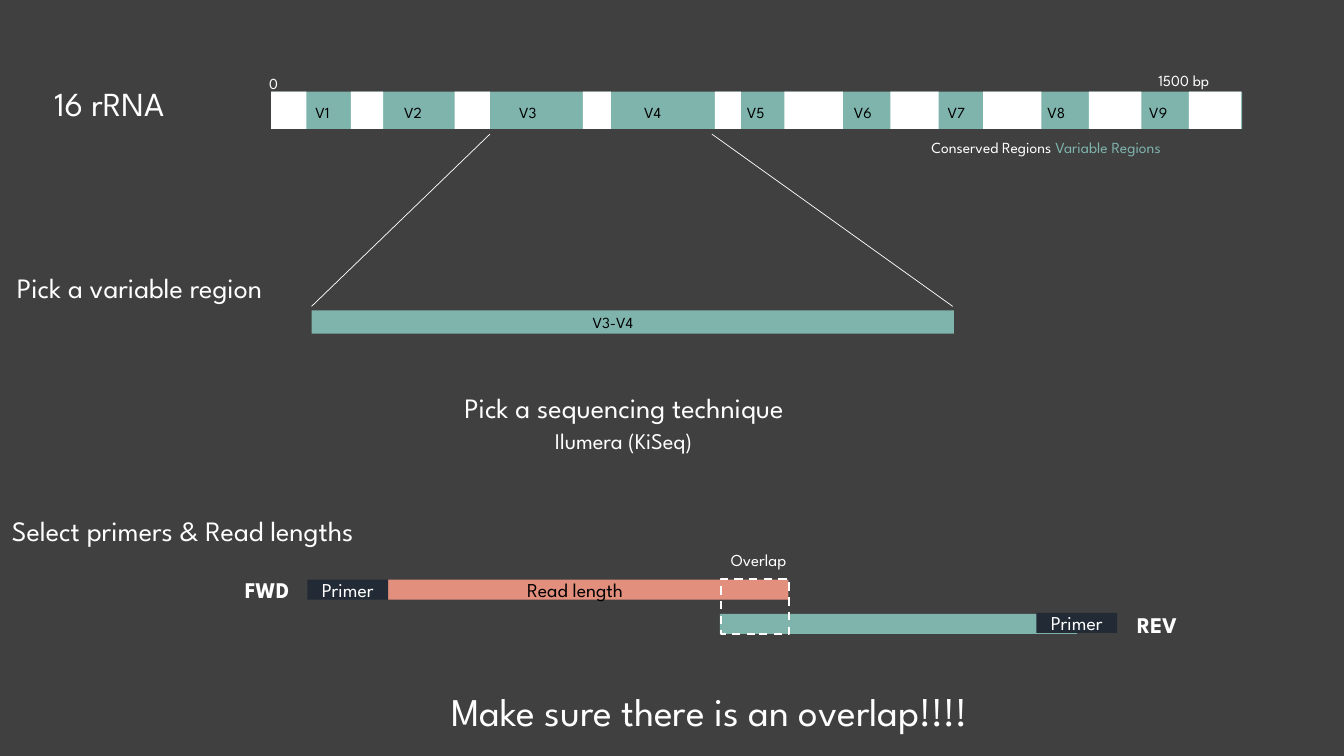
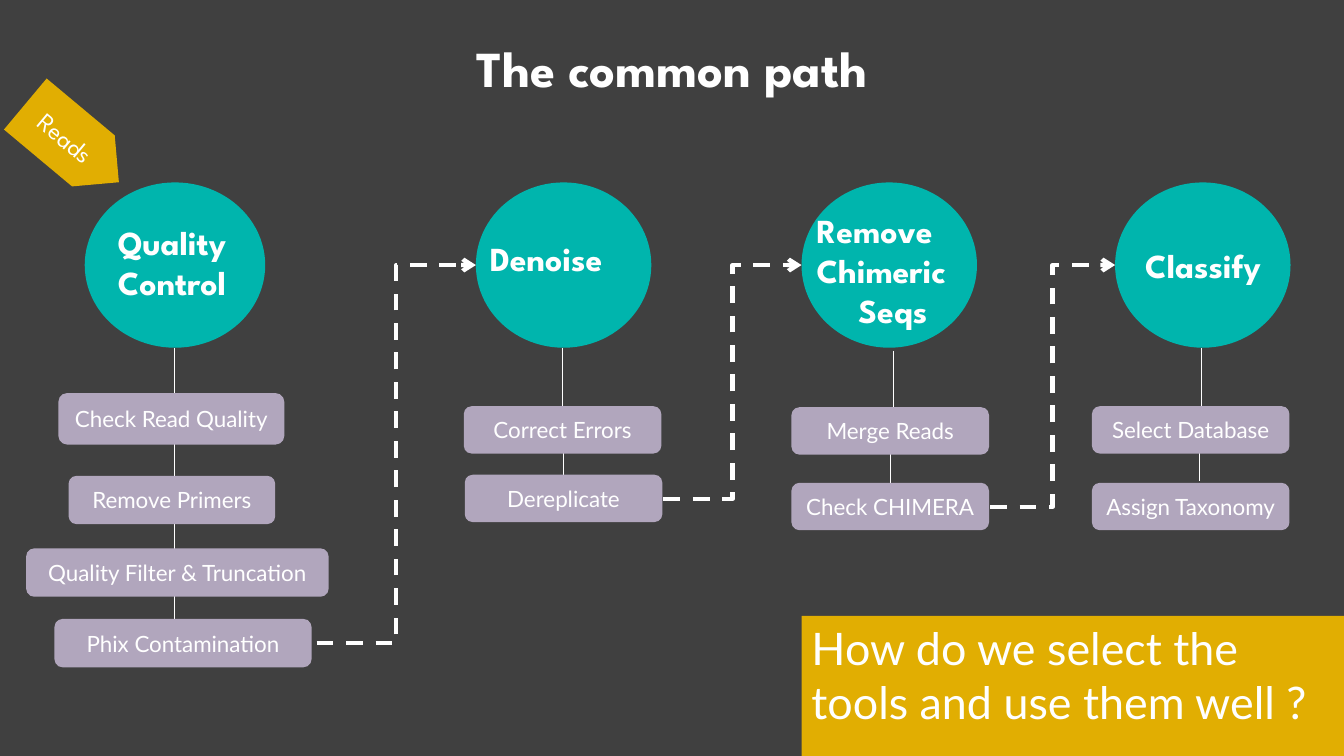
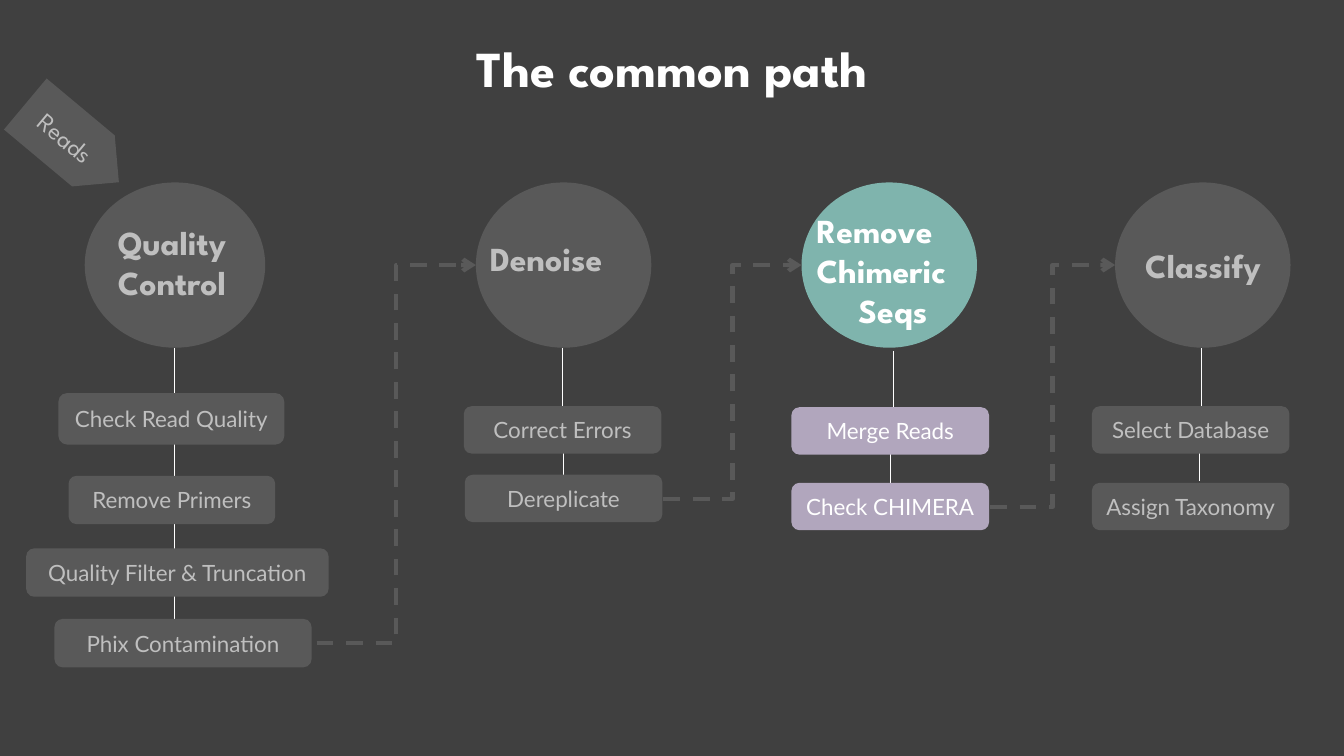
"""Build three slides on 16 rRNA reads and the common path."""
from lxml import etree
from pptx import Presentation
from pptx.dml.color import RGBColor
from pptx.enum.dml import MSO_LINE
from pptx.enum.shapes import MSO_CONNECTOR, MSO_SHAPE
from pptx.enum.text import MSO_ANCHOR, MSO_AUTO_SIZE, PP_ALIGN
from pptx.oxml.ns import qn
from pptx.util import Pt

RECT, ROUND = MSO_SHAPE.RECTANGLE, MSO_SHAPE.ROUNDED_RECTANGLE
OVAL, PLATE = MSO_SHAPE.OVAL, MSO_SHAPE.PENTAGON
LINE, ELBOW = MSO_CONNECTOR.STRAIGHT, MSO_CONNECTOR.ELBOW
LEFT, MID = PP_ALIGN.LEFT, PP_ALIGN.CENTER
TOP, CORE = MSO_ANCHOR.TOP, MSO_ANCHOR.MIDDLE
DASH, FIXED = MSO_LINE.DASH, MSO_AUTO_SIZE.NONE
PX = 9144
SPARTAN, LATO = "League Spartan", "Lato"
WHITE, BLACK, DARK, NAVY = "FFFFFF", "000000", "404040", "222A35"
SAGE, TEAL, CORAL = "7FB4AD", "00B5AD", "E28F7D"
MAUVE, GOLD, DIM, PALE = "B1A6BD", "E1AE02", "595959", "BFBFBF"
hue = RGBColor.from_string


def draw(page, kind, box, fill=None, text="", size=11, tone=WHITE,
         font=SPARTAN, bold=False, align=LEFT, anchor=TOP):
    """Place a title, text box or preset shape, and write its text."""
    place = [v * PX for v in box]
    if kind == "title":
        item = page.shapes.title
        for key, val in zip(("left", "top", "width", "height"), place):
            setattr(item, key, val)
    elif kind == "text":
        item = page.shapes.add_textbox(*place)
    else:
        item = page.shapes.add_shape(kind, *place)
        item.shadow.inherit = False
        item.line.fill.background()
        if fill:
            item.fill.solid()
            item.fill.fore_color.rgb = hue(fill)
        else:
            item.fill.background()
    if text:
        frame = item.text_frame
        look = {"word_wrap": True, "auto_size": FIXED, "vertical_anchor": anchor}
        for key, val in look.items():
            setattr(frame, key, val)
        for i, words in enumerate(text.split("\n")):
            para = frame.add_paragraph() if i else frame.paragraphs[0]
            para.alignment = align
            run = para.add_run()
            run.text = words
            run.font.color.rgb = hue(tone)
            for key, val in {"name": font, "size": Pt(size), "bold": bold}.items():
                setattr(run.font, key, val)
    return item


def link(page, kind, ends, tone=WHITE, width=0.5):
    """Join two points with a plain line."""
    item = page.shapes.add_connector(kind, *[int(v * PX) for v in ends])
    etree.SubElement(item._element.spPr, qn("a:effectLst"))
    item.line.color.rgb = hue(tone)
    item.line.width = Pt(width)
    return item


deck = Presentation()
deck.slide_width, deck.slide_height = 1333 * PX, 750 * PX
back = deck.slide_master.background.fill
back.solid()
back.fore_color.rgb = hue(DARK)
plain = deck.slide_layouts[5]

page = deck.slides.add_slide(plain)
draw(page, "title", (44, 77, 147, 50), text="16 rRNA", size=24)
draw(page, RECT, (269, 91, 963, 37), SAGE)
gaps = [(269, 35), (348, 32), (451, 35), (578, 28), (709, 26),
        (778, 58), (883, 48), (975, 58), (1080, 52), (1179, 52)]
for left, width in gaps:
    draw(page, RECT, (left, 91, width, 37), WHITE)
marks = [303, 391, 505, 629, 731, 837, 930, 1029, 1130]
for num, left in enumerate(marks, 1):
    draw(page, "text", (left, 97, 40, 29), text=f"V{num}", tone=BLACK)
key = draw(page, "text", (914, 132, 295, 29), text="Conserved Regions ")
part = key.text_frame.paragraphs[0].add_run()
part.text = "Variable Regions"
part.font.color.rgb = hue(SAGE)
for name, val in {"name": SPARTAN, "size": Pt(11)}.items():
    setattr(part.font, name, val)
draw(page, RECT, (309, 308, 637, 23), SAGE)
for ends in ((486, 133, 309, 304), (706, 133, 945, 304)):
    link(page, LINE, ends)
draw(page, RECT, (385, 575, 397, 20), CORAL)
draw(page, RECT, (714, 609, 354, 20), SAGE)
for left, top in ((305, 575), (1028, 608)):
    draw(page, RECT, (left, top, 80, 20), NAVY, "Primer", 14, align=MID, anchor=CORE)
frame = draw(page, RECT, (715, 574, 68, 55))
frame.line.color.rgb = hue(WHITE)
frame.line.width = Pt(1.5)
frame.line.dash_style = DASH
notes = [
    ((257, 69, 40, 29), "0", 11, {}),
    ((1139, 66, 84, 29), "1500 bp", 11, {}),
    ((578, 306, 64, 29), "V3-V4", 11, {"tone": BLACK}),
    ((7, 263, 315, 44), "Pick a variable region", 20, {}),
    ((410, 382, 418, 44), "Pick a sequencing technique", 20, {"align": MID}),
    ((523, 419, 191, 37), "Ilumera (KiSeq)", 16, {"align": MID}),
    ((2, 505, 424, 44), "Select primers & Read lengths", 20, {}),
    ((715, 540, 111, 30), "Overlap", 12, {}),
    ((513, 568, 157, 34), "Read length", 14, {"tone": BLACK}),
    ((233, 567, 83, 37), "FWD", 16, {"bold": True}),
    ((1118, 601, 83, 37), "REV", 16, {"bold": True}),
    ((438, 677, 626, 57), "Make sure there is an overlap!!!!", 28, {}),
]
for box, text, size, look in notes:
    draw(page, "text", box, text=text, size=size, **look)

stems = [(173, 345, 173, 614), (1192, 345, 1190, 477),
         (558, 345, 559, 471), (886, 348, 883, 479)]
paths = [(314, 638, 472, 263), (658, 495, 795, 263), (982, 503, 1106, 263)]
stages = [
    ((84, 181, 179, 164), (107, 215, 139, 91), "Quality\nControl",
     [("Check Read Quality", (58, 390, 224, 51)),
      ("Remove Primers", (68, 472, 205, 48)),
      ("Quality Filter & Truncation", (26, 544, 300, 48)),
      ("Phix Contamination", (54, 614, 255, 48))]),
    ((472, 181, 174, 164), (476, 231, 170, 50), "Denoise",
     [("Correct Errors", (460, 403, 196, 47)),
      ("Dereplicate", (461, 471, 196, 47))]),
    ((795, 181, 174, 164), (800, 203, 171, 131), "Remove Chimeric\nSeqs",
     [("Merge Reads", (785, 404, 196, 47)),
      ("Check CHIMERA", (785, 479, 196, 47))]),
    ((1106, 181, 174, 164), (1126, 238, 149, 50), "Classify",
     [("Select Database", (1083, 403, 196, 47)),
      ("Assign Taxonomy", (1083, 479, 196, 47))]),
]
for focus in (None, 2):
    full = focus is None
    page = deck.slides.add_slide(plain)
    draw(page, "title", (0, 32, 1333, 71), text="The common path", size=36,
         bold=True, align=MID)
    for x1, y1, x2, y2 in stems:
        midx, midy = (x1 + x2) / 2, (y1 + y2) / 2
        half, shift = (y2 - y1) / 2, (x2 - x1) / 2
        stem = link(page, ELBOW, (midx - half, midy + shift, midx + half, midy - shift))
        stem._element.spPr.find(qn("a:xfrm")).set("rot", "5400000")
    for i, (disc, box, head, steps) in enumerate(stages):
        lit = full or i == focus
        tone = WHITE if lit else PALE
        for text, spot in steps:
            draw(page, ROUND, spot, MAUVE if lit else DIM, text, 16, tone, LATO,
                 align=MID, anchor=CORE)
        draw(page, OVAL, disc, TEAL if full else SAGE if lit else DIM)
        label = draw(page, "text", box, text=head, size=24, tone=tone, bold=True)
        if head.endswith("Seqs"):
            label.text_frame.paragraphs[1].alignment = MID
    reads = draw(page, PLATE, (11, 109, 121, 66), GOLD if full else DIM, "Reads", 18,
                 WHITE if full else PALE, align=MID, anchor=CORE)
    reads.rotation = 39.9
    for ends in paths:
        arrow = link(page, ELBOW, ends, WHITE if full else DIM, 3)
        arrow.line.dash_style = DASH
        etree.SubElement(arrow.line._get_or_add_ln(), qn("a:tailEnd"), type="arrow")
    if full:
        draw(page, RECT, (795, 611, 538, 139), GOLD,
             "How do we select the tools and use them well ?", 32, font=LATO)

deck.save("out.pptx")
